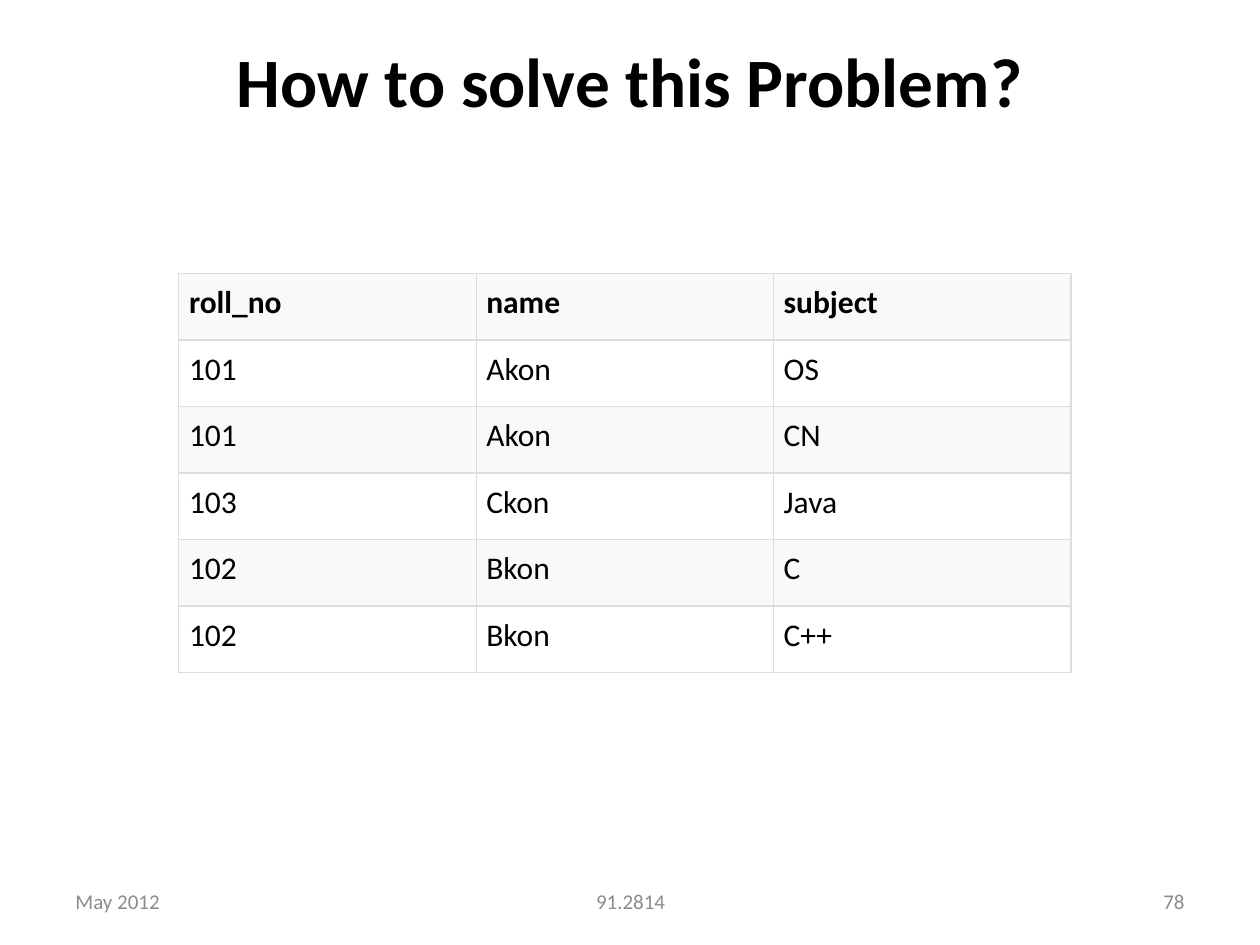
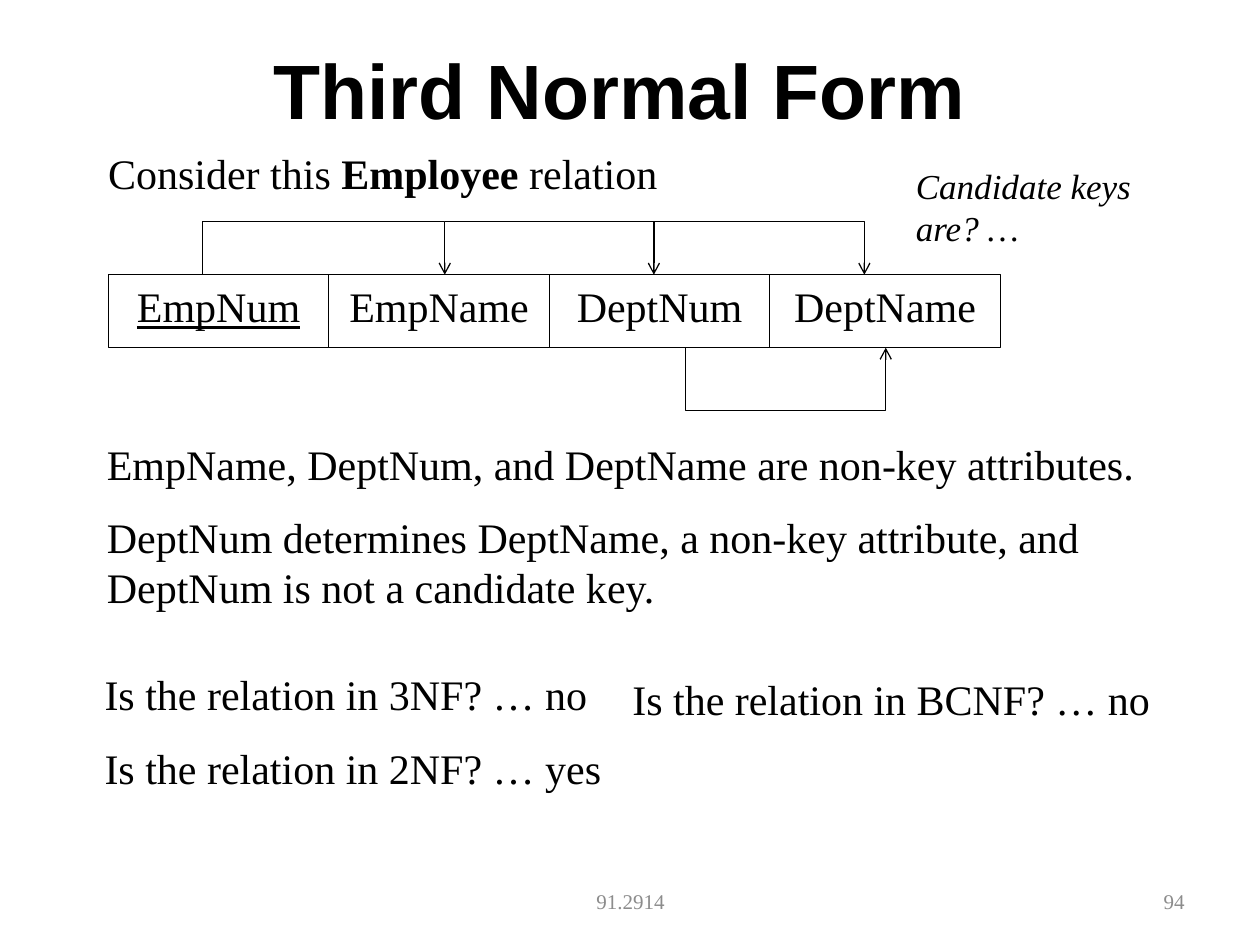
from dataclasses import dataclass

from lxml.etree import SubElement
from pptx import Presentation
from pptx.dml.color import RGBColor
from pptx.enum.shapes import MSO_SHAPE as Shape
from pptx.enum.text import MSO_ANCHOR as Anchor, PP_ALIGN as Align
from pptx.oxml.ns import qn
from pptx.util import Inches, Pt

BLACK = RGBColor(0x00, 0x00, 0x00)
WHITE = RGBColor(0xFF, 0xFF, 0xFF)
FOOTER_GREY = RGBColor(0x8C, 0x8C, 0x8C)
BAND_GREY = RGBColor(0xF9, 0xF9, 0xF9)
BORDER_GREY = RGBColor(0xDD, 0xDD, 0xDD)

SANS = "Calibri"
SERIF = "Times New Roman"
TITLE_FONT = "Arial"

LINE_WIDTH = Pt(0.75)
PARAGRAPH_GAP = 13


@dataclass(frozen=True)
class Area:
    left: float
    top: float
    width: float
    height: float

    def lengths(self) -> tuple:
        return tuple(Inches(n) for n in (self.left, self.top, self.width, self.height))


@dataclass(frozen=True)
class Span:
    text: str
    bold: bool = False


@dataclass(frozen=True)
class Note:
    area: Area
    paragraphs: tuple
    size: float = 24
    italic: bool = False
    wrap: bool = True
    left_inset: float = 0.1


@dataclass(frozen=True)
class Attribute:
    name: str
    width: float = 1.75
    is_key: bool = False


FOOTER_AREAS = (
    (Area(0.5, 6.95, 2.33, 0.4), Align.LEFT),
    (Area(3.42, 6.95, 3.17, 0.4), Align.CENTER),
    (Area(7.17, 6.95, 2.33, 0.4), Align.RIGHT),
)

ENROLMENT_AREA = Area(1.42, 2.17, 7.08, 3.17)
ENROLMENT_ROWS = (
    ("roll_no", "name", "subject"),
    ("101", "Akon", "OS"),
    ("101", "Akon", "CN"),
    ("103", "Ckon", "Java"),
    ("102", "Bkon", "C"),
    ("102", "Bkon", "C++"),
)

RELATION_LEFT, RELATION_TOP, RELATION_HEIGHT = 0.86, 2.18, 0.58
RELATION_BOTTOM = RELATION_TOP + RELATION_HEIGHT
EMPLOYEE = (
    Attribute("EmpNum", is_key=True),
    Attribute("EmpName"),
    Attribute("DeptNum"),
    Attribute("DeptName", width=1.83),
)

UPPER_BUS, LOWER_BUS = 1.76, 3.26
DEPENDENCIES = (
    ((1.61, RELATION_TOP), (1.61, UPPER_BUS), (3.53, UPPER_BUS), (3.53, RELATION_TOP)),
    ((3.53, UPPER_BUS), (5.19, UPPER_BUS), (5.19, RELATION_TOP)),
    ((5.19, UPPER_BUS), (6.86, UPPER_BUS), (6.86, RELATION_TOP)),
    ((5.44, RELATION_BOTTOM), (5.44, LOWER_BUS), (7.03, LOWER_BUS), (7.03, RELATION_BOTTOM)),
)

NOTES = (
    Note(Area(0.75, 3.43, 8.67, 1.5), (
        "EmpName, DeptNum, and DeptName are non-key attributes.",
        "DeptNum determines DeptName, a non-key attribute, and DeptNum is not a candidate key.",
    )),
    Note(Area(0.76, 1.12, 5, 0.5), (
        (Span("Consider this"), Span(" Employee ", bold=True), Span("relation")),
    )),
    Note(Area(0.83, 5.26, 4.33, 1.1), (
        "Is the relation in 3NF? … no",
        "Is the relation in 2NF? … yes",
    ), left_inset=0),
    Note(Area(4.92, 5.3, 4.31, 0.5), ("Is the relation in BCNF? … no",), wrap=False),
    Note(Area(7.17, 1.26, 2.08, 0.77), ("Candidate keys are? …",), size=20, italic=True),
)


def write_text(frame, *paragraphs, font: str, size: float, color: RGBColor = BLACK,
               bold: bool = False, italic: bool = False, underline: bool = False,
               align=Align.LEFT, anchor=Anchor.TOP, wrap: bool = True) -> None:
    """Fill a text frame; each paragraph is a string or a sequence of Spans."""
    frame.word_wrap = wrap
    frame.vertical_anchor = anchor
    for index, content in enumerate(paragraphs):
        para = frame.add_paragraph() if index else frame.paragraphs[0]
        para.alignment = align
        para.space_before = Pt(PARAGRAPH_GAP if index else 0)
        spans = (Span(content, bold),) if isinstance(content, str) else content
        for span in spans:
            run = para.add_run()
            run.text = span.text
            run.font.name = font
            run.font.size = Pt(size)
            run.font.bold = span.bold
            run.font.italic = italic
            run.font.underline = underline
            run.font.color.rgb = color


def add_text(page, area: Area, *paragraphs, **text_format):
    box = page.shapes.add_textbox(*area.lengths())
    write_text(box.text_frame, *paragraphs, **text_format)
    return box


def add_title(page, area: Area, text: str, font: str, size: float, anchor=Anchor.MIDDLE):
    return add_text(page, area, text, font=font, size=size, bold=True,
                    align=Align.CENTER, anchor=anchor)


def add_footer(page, font: str, *labels: str) -> None:
    """Put the date, course and page labels in place; an empty label is left out."""
    for label, (area, align) in zip(labels, FOOTER_AREAS):
        if label:
            add_text(page, area, label, font=font, size=12, color=FOOTER_GREY,
                     align=align, anchor=Anchor.MIDDLE)


def outline(shape) -> None:
    shape.shadow.inherit = False
    shape.line.color.rgb = BLACK
    shape.line.width = LINE_WIDTH


def add_cell_borders(cell) -> None:
    properties = cell._tc.get_or_add_tcPr()
    for side in ("a:lnL", "a:lnR", "a:lnT", "a:lnB"):
        border = SubElement(properties, qn(side), w=str(LINE_WIDTH))
        fill = SubElement(border, qn("a:solidFill"))
        SubElement(fill, qn("a:srgbClr"), val=str(BORDER_GREY))


def add_enrolment_table(page) -> None:
    rows, columns = len(ENROLMENT_ROWS), len(ENROLMENT_ROWS[0])
    table = page.shapes.add_table(rows, columns, *ENROLMENT_AREA.lengths()).table
    table.first_row = table.horz_banding = False
    for column in table.columns:
        column.width = Inches(ENROLMENT_AREA.width / columns)
    for row_index, values in enumerate(ENROLMENT_ROWS):
        table.rows[row_index].height = Inches(ENROLMENT_AREA.height / rows)
        for column_index, value in enumerate(values):
            cell = table.cell(row_index, column_index)
            cell.margin_left = cell.margin_right = Inches(0.08)
            cell.margin_top = cell.margin_bottom = Inches(0.08)
            add_cell_borders(cell)
            cell.fill.solid()
            cell.fill.fore_color.rgb = WHITE if row_index % 2 else BAND_GREY
            write_text(cell.text_frame, value, font=SANS, size=18, bold=row_index == 0)


def add_relation(page) -> None:
    left = RELATION_LEFT
    for attribute in EMPLOYEE:
        area = Area(left, RELATION_TOP, attribute.width, RELATION_HEIGHT)
        box = page.shapes.add_shape(Shape.RECTANGLE, *area.lengths())
        box.fill.solid()
        box.fill.fore_color.rgb = WHITE
        outline(box)
        write_text(box.text_frame, attribute.name, font=SERIF, size=24,
                   underline=attribute.is_key, align=Align.CENTER)
        left += attribute.width


def add_dependency(page, points: tuple) -> None:
    """Draw a bent line with an arrowhead at its last point."""
    start, *others = [(Inches(x), Inches(y)) for x, y in points]
    builder = page.shapes.build_freeform(*start)
    builder.add_line_segments(others, close=False)
    arrow = builder.convert_to_shape()
    arrow.fill.background()
    outline(arrow)
    SubElement(arrow.line._get_or_add_ln(), qn("a:tailEnd"), type="arrow")


def add_note(page, note: Note) -> None:
    box = add_text(page, note.area, *note.paragraphs, font=SERIF, size=note.size,
                   italic=note.italic, wrap=note.wrap)
    box.text_frame.margin_left = Inches(note.left_inset)


def build_problem_page(page) -> None:
    title = add_title(page, Area(0.5, 0.3, 9, 1.25), "How to solve this Problem?",
                      SANS, 39.6, anchor=Anchor.TOP)
    title.text_frame.margin_top = 0
    add_footer(page, SANS, "May 2012", "91.2814", "78")
    add_enrolment_table(page)


def build_third_normal_form_page(page) -> None:
    add_title(page, Area(0.42, 0.08, 9, 1.25), "Third Normal Form", TITLE_FONT, 44)
    add_footer(page, SERIF, "", "91.2914", "94")
    add_relation(page)
    for points in DEPENDENCIES:
        add_dependency(page, points)
    for note in NOTES:
        add_note(page, note)


def main() -> None:
    deck = Presentation()
    deck.slide_width, deck.slide_height = Inches(10), Inches(7.5)
    blank = deck.slide_layouts[6]
    for build in (build_problem_page, build_third_normal_form_page):
        build(deck.slides.add_slide(blank))
    deck.save("out.pptx")


if __name__ == "__main__":
    main()
